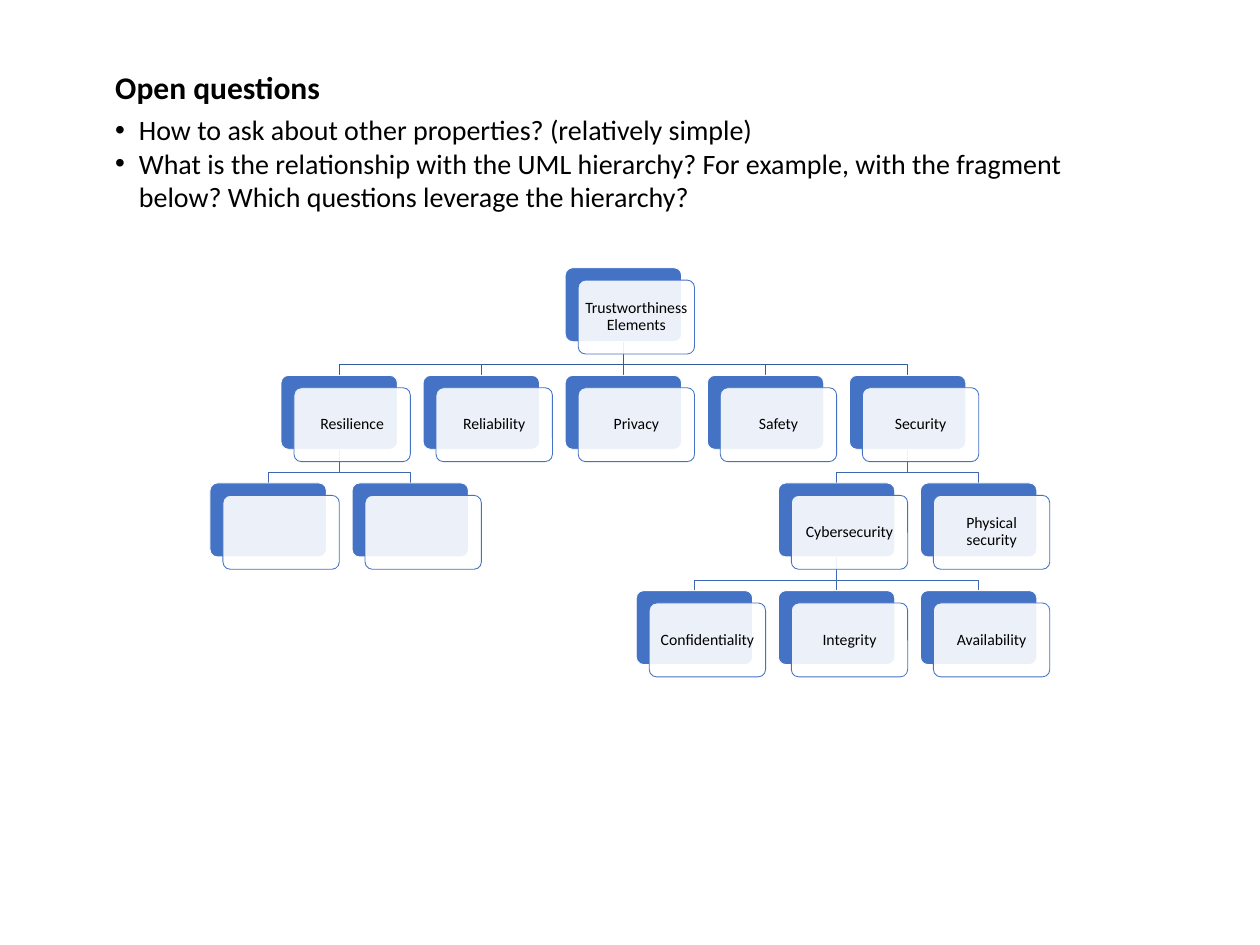
from lxml import etree
from pptx import Presentation
from pptx import util as u
from pptx.dml import color
from pptx.enum import shapes, text
from pptx.oxml import ns

FONT = "Calibri"
BLUE, WHITE, BLACK = "4472C4", "FFFFFF", "000000"
LINK_COLOURS = ["365B9D", "3E67B2", "3E67B2"]
CARD_W, CARD_H, CARD_SHIFT = 133, 84.5, (14.8, 14.1)
HALF_COLUMN, LEVEL_STEP, LINK_DROP, LABEL_MARGIN = 81.2, 123, 26.4, 4.6

ELEMENTS = [
    ("Trustworthiness Elements", 0, 5, None),
    ("Resilience", 1, 1, 0),
    ("", 2, 0, 1),
    ("", 2, 2, 1),
    ("Reliability", 1, 3, 0),
    ("Privacy", 1, 5, 0),
    ("Safety", 1, 7, 0),
    ("Security", 1, 9, 0),
    ("Cybersecurity", 2, 8, 7),
    ("Confidentiality", 3, 6, 8),
    ("Integrity", 3, 8, 8),
    ("Availability", 3, 10, 8),
    ("Physical security", 2, 10, 7),
]
QUESTIONS = [
    "How to ask about other properties? (relatively simple)",
    "What is the relationship with the UML hierarchy? For example, with the "
    "fragment below? Which questions leverage the hierarchy?",
]


def rgb(hex_colour):
    """Turn a hex string into a colour."""
    return color.RGBColor.from_string(hex_colour)


def apply(target, values):
    """Set every attribute named in a dict of format values."""
    for name, value in values.items():
        setattr(target, name, value)


def place(shape, box):
    """Move a shape to a box given in points."""
    apply(shape, dict(zip(("left", "top", "width", "height"), map(u.Pt, box))))


def style_text(paragraph, size, bold=False, **layout):
    """Format one paragraph and its font."""
    apply(paragraph, layout)
    apply(paragraph.font, {"name": FONT, "size": u.Pt(size), "bold": bold})
    paragraph.font.color.rgb = rgb(BLACK)


def style_line(line, hex_colour):
    """Give a line its colour and a width of one point."""
    line.color.rgb = rgb(hex_colour)
    line.width = u.Pt(1)


def heading(slide, box):
    """Place the title at the top left."""
    title = slide.shapes.title
    place(title, box)
    title.text_frame.text = "Open questions"
    apply(title.text_frame, {"vertical_anchor": text.MSO_ANCHOR.TOP,
                             "word_wrap": False,
                             "auto_size": text.MSO_AUTO_SIZE.SHAPE_TO_FIT_TEXT})
    style_text(title.text_frame.paragraphs[0], 36, True, alignment=text.PP_ALIGN.LEFT)


def question_list(slide, box):
    """Place the bulleted questions in the body placeholder."""
    body = slide.placeholders[1]
    place(body, box)
    body.text_frame.text = "\n".join(QUESTIONS)
    apply(body.text_frame, {"word_wrap": True,
                            "auto_size": text.MSO_AUTO_SIZE.SHAPE_TO_FIT_TEXT})
    for question in body.text_frame.paragraphs:
        style_text(question, 32, space_before=u.Pt(0))
        properties = question._p.get_or_add_pPr()
        properties.set("marL", str(u.Pt(27)))
        properties.set("indent", str(u.Pt(-27)))
        etree.SubElement(properties, ns.qn("a:buChar"), char="•")


def link(slide, start, end, hex_colour):
    """Join a parent's lower edge to a child's upper edge."""
    (x1, y1), (x2, y2) = start, end
    if x1 == x2:
        branch = slide.shapes.add_connector(
            shapes.MSO_CONNECTOR.STRAIGHT, *map(u.Pt, (x1, y1, x2, y2)))
        etree.SubElement(branch.element.spPr, ns.qn("a:effectLst"))
    else:
        bend = y1 + LINK_DROP
        outline = slide.shapes.build_freeform(u.Pt(x1), u.Pt(y1))
        outline.add_line_segments(
            [(u.Pt(x), u.Pt(y)) for x, y in ((x1, bend), (x2, bend), (x2, y2))],
            close=False)
        branch = outline.convert_to_shape()
        branch.fill.background()
        branch.shadow.inherit = False
    style_line(branch.line, hex_colour)


def plate(slide, left, top, fill, outline):
    """Draw one rounded plate of a card."""
    shape = slide.shapes.add_shape(shapes.MSO_SHAPE.ROUNDED_RECTANGLE,
                                   *map(u.Pt, (left, top, CARD_W, CARD_H)))
    shape.adjustments[0] = 0.1
    shape.shadow.inherit = False
    shape.fill.solid()
    shape.fill.fore_color.rgb = rgb(fill)
    style_line(shape.line, outline)
    return shape


def card(slide, left, top, label):
    """Draw a blue plate with a translucent labelled plate over it."""
    plate(slide, left, top, BLUE, WHITE)
    front = plate(slide, left + CARD_SHIFT[0], top + CARD_SHIFT[1], WHITE, BLUE)
    tint = front.element.spPr.find(ns.qn("a:solidFill")).find(ns.qn("a:srgbClr"))
    etree.SubElement(tint, ns.qn("a:alpha"), val="90000")
    if label:
        frame = front.text_frame
        frame.text = label
        apply(frame, {"word_wrap": True, "vertical_anchor": text.MSO_ANCHOR.MIDDLE})
        apply(frame, {f"margin_{side}": u.Pt(LABEL_MARGIN)
                      for side in ("left", "top", "right", "bottom")})
        style_text(frame.paragraphs[0], 18, alignment=text.PP_ALIGN.CENTER,
                   line_spacing=0.9)


def hierarchy(slide, left, top):
    """Draw the tree of elements, links behind cards."""
    corners = [(left + column * HALF_COLUMN, top + level * LEVEL_STEP)
               for _, level, column, _ in ELEMENTS]
    for (_, level, _, parent), (x, y) in zip(ELEMENTS, corners):
        if parent is not None:
            parent_x, parent_y = corners[parent]
            link(slide, (parent_x + CARD_W / 2, parent_y + CARD_H),
                 (x + CARD_W / 2, y), LINK_COLOURS[level - 1])
    for (label, *_), (x, y) in zip(ELEMENTS, corners):
        card(slide, x, y, label)


def main():
    """Build the slide and save it."""
    deck = Presentation()
    apply(deck, {"slide_width": u.Pt(1440), "slide_height": u.Pt(1080)})
    slide = deck.slides.add_slide(deck.slide_layouts[1])
    heading(slide, (124.5, 74.2, 251.3, 51))
    question_list(slide, (124.5, 125.3, 1159, 124))
    hierarchy(slide, 240, 306)
    deck.save("out.pptx")


main()
